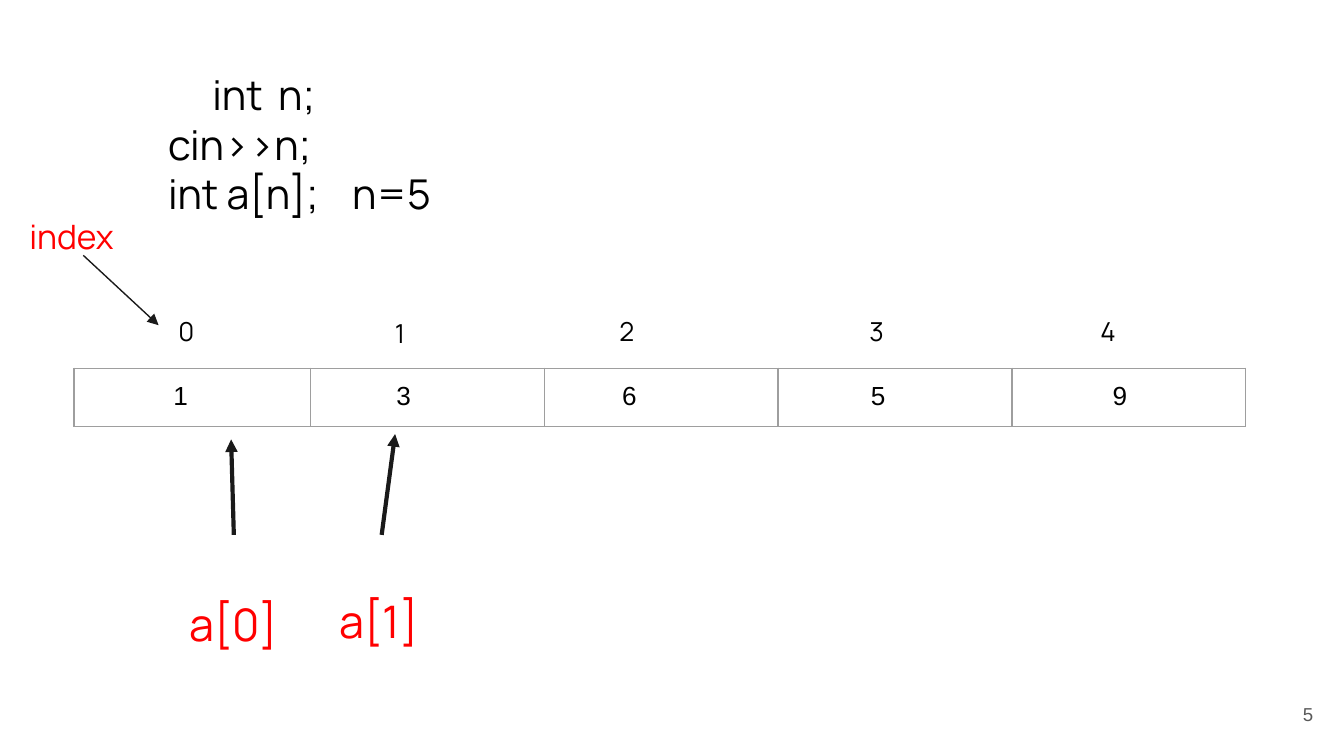
from dataclasses import dataclass

from lxml import etree
from pptx import Presentation
from pptx.dml.color import RGBColor
from pptx.enum.shapes import MSO_CONNECTOR
from pptx.enum.text import MSO_ANCHOR, PP_ALIGN
from pptx.oxml.ns import qn
from pptx.util import Inches, Pt

STRAIGHT = MSO_CONNECTOR.STRAIGHT
TOP, MIDDLE = MSO_ANCHOR.TOP, MSO_ANCHOR.MIDDLE
LEFT, RIGHT = PP_ALIGN.LEFT, PP_ALIGN.RIGHT


@dataclass(frozen=True)
class Theme:
    code_font: str = "Manrope"
    value_font: str = "Arial"
    black: str = "000000"
    red: str = "FF0000"
    gray: str = "595959"
    arrow: str = "1A1A1A"
    border: str = "9E9E9E"
    code_size: int = 22
    element_size: int = 24
    index_size: int = 18
    value_size: int = 14
    number_size: int = 10
    border_width: float = 0.75
    inset: float = 0.1


THEME = Theme()


@dataclass(frozen=True)
class Label:
    text: str
    left: float
    top: float
    width: float
    height: float
    size: int
    color: str
    font: str = THEME.code_font
    left_inset: float = THEME.inset
    top_inset: float = THEME.inset
    align: PP_ALIGN = LEFT
    anchor: MSO_ANCHOR = TOP


@dataclass(frozen=True)
class Arrow:
    start: tuple[float, float]
    end: tuple[float, float]
    width: float


@dataclass(frozen=True)
class Element:
    value: str
    column_width: float
    left_inset: float


CODE = Label("\tint\tn;\ncin>>n;\nint a[n];\tn=5", 0.55, 0.41, 7.12, 1.31,
             THEME.code_size, THEME.black, left_inset=0.7, top_inset=0.11)
CODE_TABS = {0: (0.33, 0.82), 2: (1.37,)}

INDEX_POSITIONS = ((1.23, 2.25), (2.84, 2.26), (4.51, 2.25), (6.37, 2.25), (8.09, 2.25))
LABELS = [
    Label("5", 9.27, 5.1, 0.6, 0.43, THEME.number_size, THEME.gray,
          font=THEME.value_font, align=RIGHT, anchor=MIDDLE),
    Label("index", 0.12, 1.51, 1.83, 0.74, THEME.index_size, THEME.red),
    *(Label(str(index), left, top, 0.34, 0.44, THEME.value_size, THEME.black)
      for index, (left, top) in enumerate(INDEX_POSITIONS)),
    Label("a[0]", 1.31, 3.98, 0.87, 0.84, THEME.element_size, THEME.red, top_inset=0.62),
    Label("a[1]", 2.43, 3.98, 0.82, 0.84, THEME.element_size, THEME.red, top_inset=0.58),
]
ELEMENTS = [
    Element("1", 1.76, 0.74),
    Element("3", 1.74, 0.64),
    Element("6", 1.74, 0.58),
    Element("5", 1.74, 0.69),
    Element("9", 1.74, 0.75),
]
ARROWS = [
    Arrow((0.62, 1.9), (1.18, 2.42), 0.75),
    Arrow((1.74, 3.98), (1.72, 3.27), 2.25),
    Arrow((2.84, 3.98), (2.94, 3.23), 2.25),
]


def format_runs(paragraph, font: str, size: int, color: str) -> None:
    for run in paragraph.runs:
        run.font.name = font
        run.font.size = Pt(size)
        run.font.color.rgb = RGBColor.from_string(color)


def add_label(slide, label: Label):
    shape = slide.shapes.add_textbox(Inches(label.left), Inches(label.top),
                                     Inches(label.width), Inches(label.height))
    frame = shape.text_frame
    frame.word_wrap = True
    frame.vertical_anchor = label.anchor
    frame.margin_left = Inches(label.left_inset)
    frame.margin_top = Inches(label.top_inset)
    frame.margin_right = frame.margin_bottom = Inches(THEME.inset)
    frame.text = label.text
    for paragraph in frame.paragraphs:
        paragraph.alignment = label.align
        format_runs(paragraph, label.font, label.size, label.color)
    return shape


def set_tabs(paragraph, positions: tuple[float, ...]) -> None:
    properties = paragraph._p.get_or_add_pPr()
    tabs = etree.SubElement(properties, qn("a:tabLst"))
    for position in positions:
        etree.SubElement(tabs, qn("a:tab"), pos=str(Inches(position)), algn="l")


def set_borders(cell) -> None:
    properties = cell._tc.get_or_add_tcPr()
    for position, side in enumerate(("a:lnL", "a:lnR", "a:lnT", "a:lnB")):
        line = etree.Element(qn(side), w=str(Pt(THEME.border_width)))
        fill = etree.SubElement(line, qn("a:solidFill"))
        etree.SubElement(fill, qn("a:srgbClr"), val=THEME.border)
        properties.insert(position, line)


def add_array(slide, elements: list[Element], left: float, top: float, height: float) -> None:
    width = sum(element.column_width for element in elements)
    table = slide.shapes.add_table(1, len(elements), Inches(left), Inches(top),
                                   Inches(width), Inches(height)).table
    table.first_row = table.horz_banding = False
    for column, element in enumerate(elements):
        table.columns[column].width = Inches(element.column_width)
        cell = table.cell(0, column)
        cell.fill.background()
        cell.margin_left = Inches(element.left_inset)
        cell.margin_right = cell.margin_top = cell.margin_bottom = Inches(THEME.inset)
        cell.text_frame.text = element.value
        format_runs(cell.text_frame.paragraphs[0], THEME.value_font,
                    THEME.value_size, THEME.black)
        set_borders(cell)


def add_arrow(slide, arrow: Arrow) -> None:
    ends = (Inches(length) for length in (*arrow.start, *arrow.end))
    connector = slide.shapes.add_connector(STRAIGHT, *ends)
    connector.line.color.rgb = RGBColor.from_string(THEME.arrow)
    connector.line.width = Pt(arrow.width)
    etree.SubElement(connector.line._get_or_add_ln(), qn("a:tailEnd"), type="triangle")
    etree.SubElement(connector._element.spPr, qn("a:effectLst"))


def main() -> None:
    presentation = Presentation()
    # Widescreen page, 16:9
    presentation.slide_width = Inches(10)
    presentation.slide_height = Inches(10 * 9 / 16)
    slide = presentation.slides.add_slide(presentation.slide_layouts[6])

    # Code lines, aligned with tab stops
    code = add_label(slide, CODE)
    for line, positions in CODE_TABS.items():
        set_tabs(code.text_frame.paragraphs[line], positions)

    # Array cells with their values
    add_array(slide, ELEMENTS, left=0.55, top=2.74, height=0.43)

    # Indices, element names and page number
    for label in LABELS:
        add_label(slide, label)

    # Pointers to the index and the elements
    for arrow in ARROWS:
        add_arrow(slide, arrow)

    presentation.save("out.pptx")


if __name__ == "__main__":
    main()
